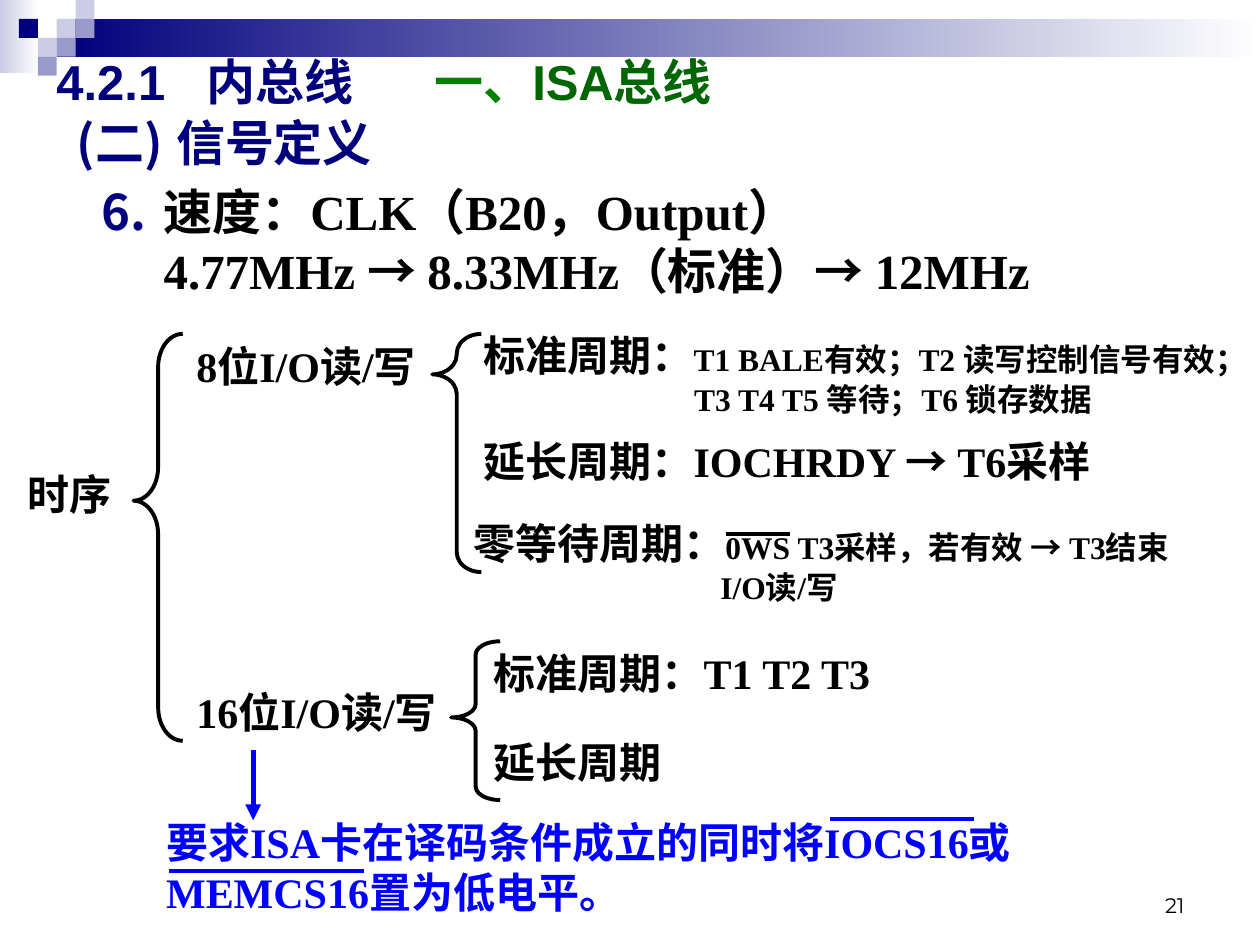
from dataclasses import dataclass

from lxml.etree import SubElement
from pptx import Presentation
from pptx.dml.color import RGBColor
from pptx.enum.shapes import MSO_CONNECTOR, MSO_SHAPE
from pptx.enum.text import MSO_ANCHOR, MSO_AUTO_SIZE, PP_ALIGN
from pptx.oxml.ns import qn
from pptx.util import Inches, Pt


@dataclass(frozen=True)
class Theme:
    navy: str = "00007D"
    lavender: str = "9999CC"
    pale: str = "CCCCE6"
    white: str = "FFFFFF"
    black: str = "000000"
    blue: str = "0000FF"
    green: str = "008000"
    dark_green: str = "006600"
    heading: int = 28
    label: int = 24
    detail: int = 18
    number: int = 12
    sans: str = "Arial"
    serif: str = "Times New Roman"
    cjk: str = "Noto Sans CJK SC"
    digits: str = "Montserrat"
    rule: float = 2.25
    arrow: float = 3


T = Theme()
COLS, ROWS = 100, 75
MOSAIC = 1.5  # side of a mosaic square, in grid units
BREAK = "\n"


def grid(*units):
    """Turn columns and rows of the 100 x 75 slide grid into lengths."""
    return [Inches(10 / COLS * u) for u in units]


def rgb(color):
    return RGBColor.from_string(color)


def add_block(s, at, color, fade_to=None):
    sp = s.shapes.add_shape(MSO_SHAPE.RECTANGLE, *grid(*at))
    sp.shadow.inherit = False
    sp.line.fill.background()
    if fade_to:
        sp.fill.gradient()
        sp.fill.gradient_angle = 0
        for stop, c in zip(sp.fill.gradient_stops, (color, fade_to)):
            stop.color.rgb = rgb(c)
    else:
        sp.fill.solid()
        sp.fill.fore_color.rgb = rgb(color)


def add_mosaic(s):
    """Draw the header band and its squares, given as (column, row, colour)."""
    add_block(s, (0, 0, 3.1, 5.8), T.pale, T.white)
    add_block(s, (4.5, 1.5, 95.5, 3), T.navy, T.white)
    squares = [(3, 1, T.pale), (4, 0, T.pale), (4, 1, T.lavender), (2, 2, T.pale),
               (1, 1, T.navy), (3, 2, T.lavender), (2, 3, T.lavender)]
    for col, row, color in squares:
        add_block(s, (col * MOSAIC, row * MOSAIC, MOSAIC, MOSAIC), color)


def add_text(s, at, runs, size=T.label, font=T.serif, color=T.black, bold=True,
             hang=0, grow=True):
    """Add a one-paragraph box; a run is a string or (string, changed style)."""
    tf = s.shapes.add_textbox(*grid(*at)).text_frame
    tf.word_wrap = True
    tf.auto_size = MSO_AUTO_SIZE.SHAPE_TO_FIT_TEXT if grow else MSO_AUTO_SIZE.NONE
    p = tf.paragraphs[0]
    if hang:
        indent = grid(hang)[0]
        pPr = p._p.get_or_add_pPr()
        pPr.set("marL", str(indent))
        pPr.set("indent", str(-indent))
    for item in runs:
        if item == BREAK:
            p.add_line_break()
            continue
        text, changes = (item, {}) if isinstance(item, str) else item
        style = {"size": size, "font": font, "color": color, **changes}
        r = p.add_run()
        r.text = text
        r.font.size = Pt(style["size"])
        r.font.bold = bold
        r.font.color.rgb = rgb(style["color"])
        r.font.name = style["font"]
        SubElement(r._r.get_or_add_rPr(), qn("a:ea"), typeface=T.cjk)
    return tf


def add_tabs(p, *stops):
    tabs = SubElement(p._p.get_or_add_pPr(), qn("a:tabLst"))
    for pos in grid(*stops):
        SubElement(tabs, qn("a:tab"), pos=str(pos), algn="l")


def add_number(p, start, color):
    """Number the paragraph automatically from start."""
    pPr = p._p.get_or_add_pPr()
    SubElement(SubElement(pPr, qn("a:buClr")), qn("a:srgbClr"), val=color)
    SubElement(pPr, qn("a:buFont"), typeface=T.cjk)
    SubElement(pPr, qn("a:buAutoNum"), type="arabicPeriod", startAt=str(start))


def add_brace(s, at, curl, tip):
    sp = s.shapes.add_shape(MSO_SHAPE.LEFT_BRACE, *grid(*at))
    sp.shadow.inherit = False
    sp.fill.background()
    sp.line.color.rgb = rgb(T.black)
    sp.line.width = Pt(T.rule)
    sp.adjustments[0], sp.adjustments[1] = curl, tip


def add_line(s, start, end, color, width=T.rule, arrow=False):
    cx = s.shapes.add_connector(MSO_CONNECTOR.STRAIGHT, *grid(*start, *end))
    cx.line.color.rgb = rgb(color)
    cx.line.width = Pt(width)
    if arrow:
        SubElement(cx.line._get_or_add_ln(), qn("a:tailEnd"), type="triangle")
    SubElement(cx._element.spPr, qn("a:effectLst"))


def add_overline(s, col, row, width, color):
    add_line(s, (col, row), (col + width, row), color)


def add_headings(s):
    title = add_text(s, (3.5, 3.6, 91.3, 6.3),
                     ["4.2.1\t内总线\t", ("一、", {"color": T.green}),
                      ("ISA总线", {"color": T.dark_green})],
                     T.heading, T.sans, T.navy, grow=False)
    add_tabs(title.paragraphs[0], 11.9, 30)
    add_text(s, (5.1, 8.4, 90, 6.3), [("(二)", {"font": T.cjk}), " 信号定义"],
             T.heading, T.sans, T.navy, hang=3.8, grow=False)
    arrow = ("→ ", {"font": T.cjk})
    speed = add_text(s, (7.1, 13.9, 91.1, 14),
                     ["速度：CLK（B20，Output）", BREAK, "4.77MHz ", arrow,
                      "8.33MHz（标准）", arrow, "12MHz"],
                     T.heading, hang=4.9, grow=False)
    add_number(speed.paragraphs[0], 6, T.navy)


def add_timing_tree(s):
    small = {"size": T.detail}
    add_text(s, (1.2, 36.7, 10.2, 5), ["时序"], font=T.sans)
    add_brace(s, (10.6, 26.5, 3.9, 32.3), 0.68, 0.41)
    for row, label in [(26.5, "8位I/O读/写"), (54, "16位I/O读/写")]:
        add_text(s, (14.6, row, 22.8, 5), [label])

    add_brace(s, (34.3, 26.5, 3.9, 18.9), 0.4, 0.17)
    add_text(s, (37.4, 25.7, 60.6, 8),
             ["标准周期：",
              ("T1 BALE有效；T2 读写控制信号有效；T3 T4 T5 等待；T6 锁存数据", small)],
             hang=16.7)
    add_text(s, (37.4, 34.1, 60.6, 5),
             ["延长周期：IOCHRDY ", ("→", {"font": T.cjk}), " T6采样"])
    add_text(s, (36.6, 40.6, 60.6, 8),
             ["零等待周期：", ("0WS T3采样，若有效 ", small),
              ("→", {**small, "font": T.cjk}), (" T3结束I/O读/写", small)],
             hang=19.6)
    add_overline(s, 57.6, 42.4, 5.1, T.black)

    add_brace(s, (35.8, 50.9, 3.9, 12.6), 0.27, 0.48)
    add_text(s, (38.2, 50.9, 47.2, 5), ["标准周期：T1 T2 T3"])
    add_text(s, (38.2, 58, 16.5, 5), ["延长周期"])


def add_requirement(s):
    add_text(s, (12.2, 64.3, 74.8, 9),
             ["要求ISA卡在译码条件成立的同时将IOCS16或MEMCS16置为低电平。"],
             color=T.blue)
    add_line(s, (20.1, 59.5), (20.1, 65.1), T.blue, T.arrow, arrow=True)
    add_overline(s, 65.9, 65, 11.4, T.blue)
    add_overline(s, 13.4, 69.1, 15.5, T.blue)


def add_page_number(s, number):
    tf = add_text(s, (71.7, 69.8, 23.3, 3.5), [number], T.number, T.digits,
                  bold=False, grow=False)
    tf.vertical_anchor = MSO_ANCHOR.BOTTOM
    tf.paragraphs[0].alignment = PP_ALIGN.RIGHT


def main():
    prs = Presentation()
    prs.slide_width, prs.slide_height = grid(COLS, ROWS)
    s = prs.slides.add_slide(prs.slide_layouts[6])
    add_mosaic(s)
    add_page_number(s, "21")
    add_headings(s)
    add_timing_tree(s)
    add_requirement(s)
    prs.save("out.pptx")


if __name__ == "__main__":
    main()
